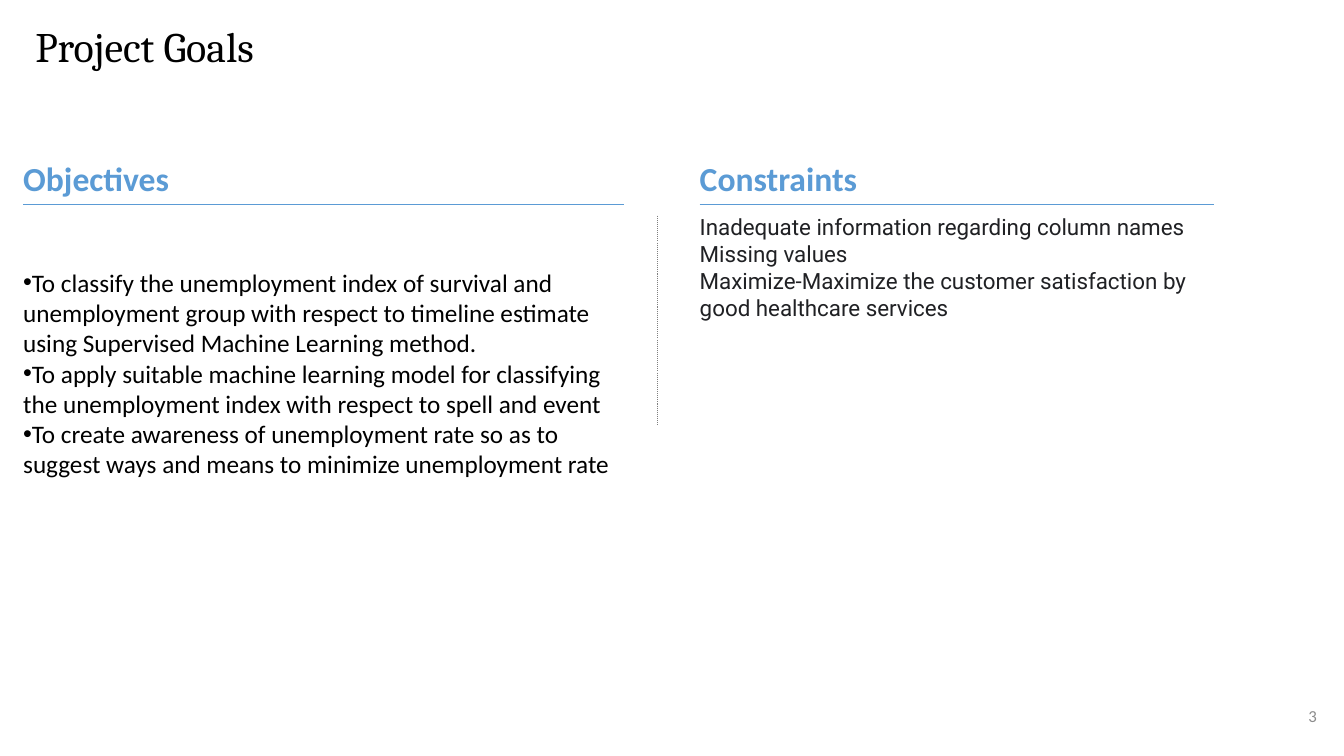
from lxml.etree import SubElement
from pptx import Presentation
from pptx.dml.color import RGBColor
from pptx.enum.dml import MSO_LINE
from pptx.enum.shapes import MSO_CONNECTOR
from pptx.enum.text import MSO_ANCHOR, MSO_AUTO_SIZE, PP_ALIGN
from pptx.oxml.ns import qn
from pptx.util import Inches, Pt

BLACK = RGBColor(0x00, 0x00, 0x00)
BLUE = RGBColor(0x5B, 0x9B, 0xD5)
INK = RGBColor(0x20, 0x21, 0x24)
GREY = RGBColor(0x7F, 0x7F, 0x7F)
PALE = RGBColor(0x8C, 0x8C, 0x8C)

OBJECTIVES = [
    "To classify the unemployment index of survival and unemployment group "
    "with respect to timeline estimate using Supervised Machine Learning method.",
    "To apply suitable machine learning model for classifying the unemployment "
    "index with respect to spell and event",
    "To create awareness of unemployment rate so as to suggest ways and means "
    "to minimize unemployment rate",
]
CONSTRAINTS = [
    "Inadequate information regarding column names",
    "Missing values",
    "Maximize-Maximize the customer satisfaction by good healthcare services",
]


def set_bullet(p, bullet):
    pPr = p._p.get_or_add_pPr()
    pPr.set("marL", "0")
    pPr.set("indent", str(-Inches(0.12)) if bullet else "0")
    if bullet:
        SubElement(pPr, qn("a:buChar")).set("char", bullet)
    else:
        SubElement(pPr, qn("a:buNone"))


def write(sp, box, lines, size, font, color, bold=False, bullet=None,
          align=PP_ALIGN.LEFT, spacing=1.0, inset=(0, 0)):
    """Place a shape in box (left, top, width, height) and fill in its text."""
    sp.left, sp.top, sp.width, sp.height = map(Inches, box)
    tf = sp.text_frame
    tf.word_wrap = True
    tf.auto_size = MSO_AUTO_SIZE.NONE
    tf.vertical_anchor = MSO_ANCHOR.MIDDLE
    tf.margin_left = tf.margin_right = Inches(inset[0])
    tf.margin_top = tf.margin_bottom = Inches(inset[1])
    for i, line in enumerate(lines):
        p = tf.add_paragraph() if i else tf.paragraphs[0]
        set_bullet(p, bullet)
        p.alignment = align
        p.line_spacing = spacing
        p.space_before = p.space_after = Pt(0)
        r = p.add_run()
        r.text = line
        r.font.size, r.font.name, r.font.bold = Pt(size), font, bold
        r.font.color.rgb = color


def add_line(slide, x1, y1, x2, y2, color, dash=None):
    line = slide.shapes.add_connector(
        MSO_CONNECTOR.STRAIGHT, *map(Inches, (x1, y1, x2, y2)))
    line.line.color.rgb = color
    line.line.width = Pt(0.75)
    if dash:
        line.line.dash_style = dash
    SubElement(line._element.spPr, qn("a:effectLst"))


def add_column(slide, heading_sp, body_sp, box, heading, lines,
               body_box, **body_format):
    """Heading, rule and list; body_box is relative to the column's corner."""
    left, top, width, height = box
    write(heading_sp, box, [heading], 24, "Calibri", BLUE, bold=True, spacing=0.9)
    rule_y = top + height + 0.06
    add_line(slide, left, rule_y, left + width, rule_y, BLUE)
    dx, dy, w, h = body_box
    write(body_sp, (left + dx, top + dy, w, h), lines, **body_format)


def add_goals_slide(prs):
    slide = prs.slides.add_slide(prs.slide_layouts.get_by_name("Comparison"))
    title, left_head, left_body, right_head, right_body = slide.placeholders
    write(title, (0.25, 0.21, 11.5, 0.56), ["Project Goals"], 30, "Cambria",
          BLACK, spacing=0.9, inset=(0.1, 0.05))
    add_column(slide, left_head, left_body, (0.23, 1.61, 5.96, 0.36),
               "Objectives", OBJECTIVES, (0, 1.03, 6.1, 2.12),
               size=18, font="Calibri", color=BLACK, bullet="•")
    add_column(slide, right_head, right_body, (6.94, 1.61, 5.1, 0.36),
               "Constraints", CONSTRAINTS, (0, 0.5, 5.1, 1.08),
               size=16, font="Roboto", color=INK)
    add_line(slide, 6.52, 2.14, 6.52, 4.21, GREY, MSO_LINE.ROUND_DOT)
    number = slide.shapes.add_textbox(0, 0, 0, 0)
    write(number, (12.73, 6.94, 0.43, 0.32), ["3"], 12, "Calibri", PALE,
          align=PP_ALIGN.RIGHT, inset=(0.1, 0.05))


def main():
    prs = Presentation()
    prs.slide_width, prs.slide_height = Inches(13.33), Inches(7.5)
    add_goals_slide(prs)
    prs.save("out.pptx")


if __name__ == "__main__":
    main()
